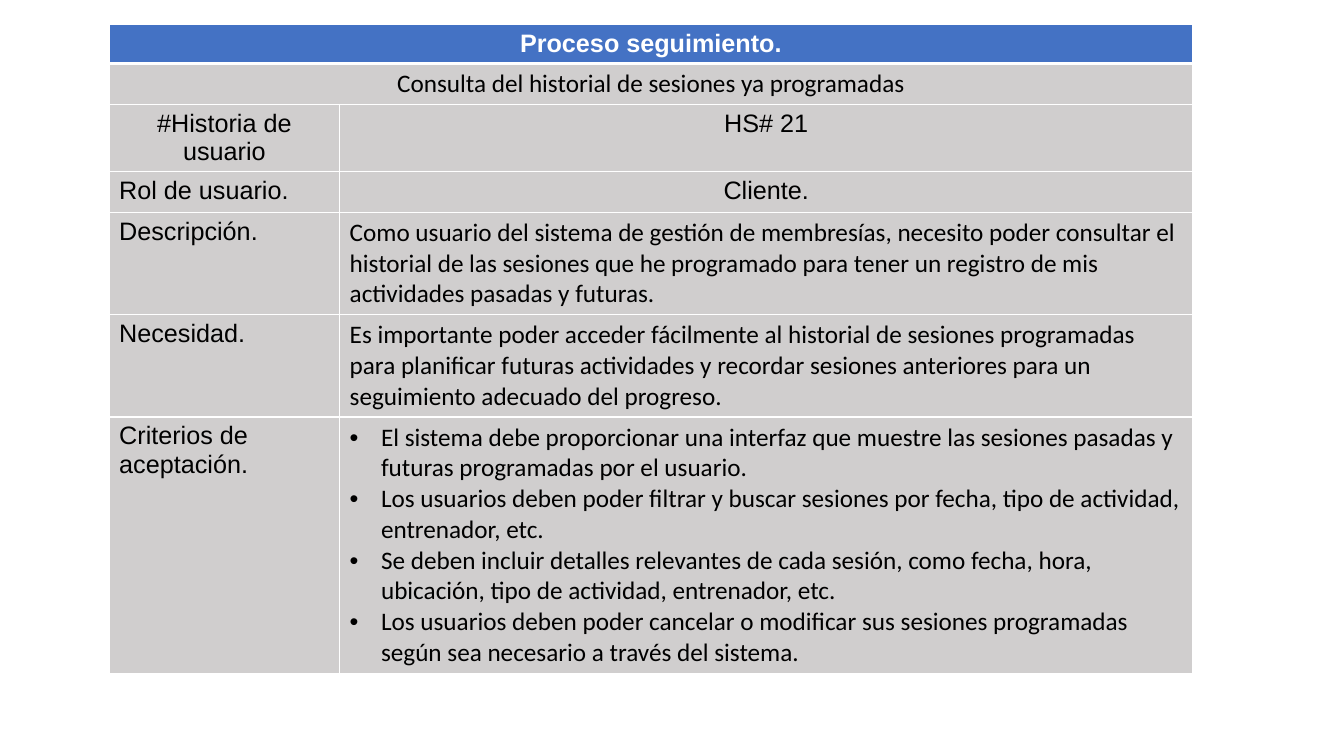
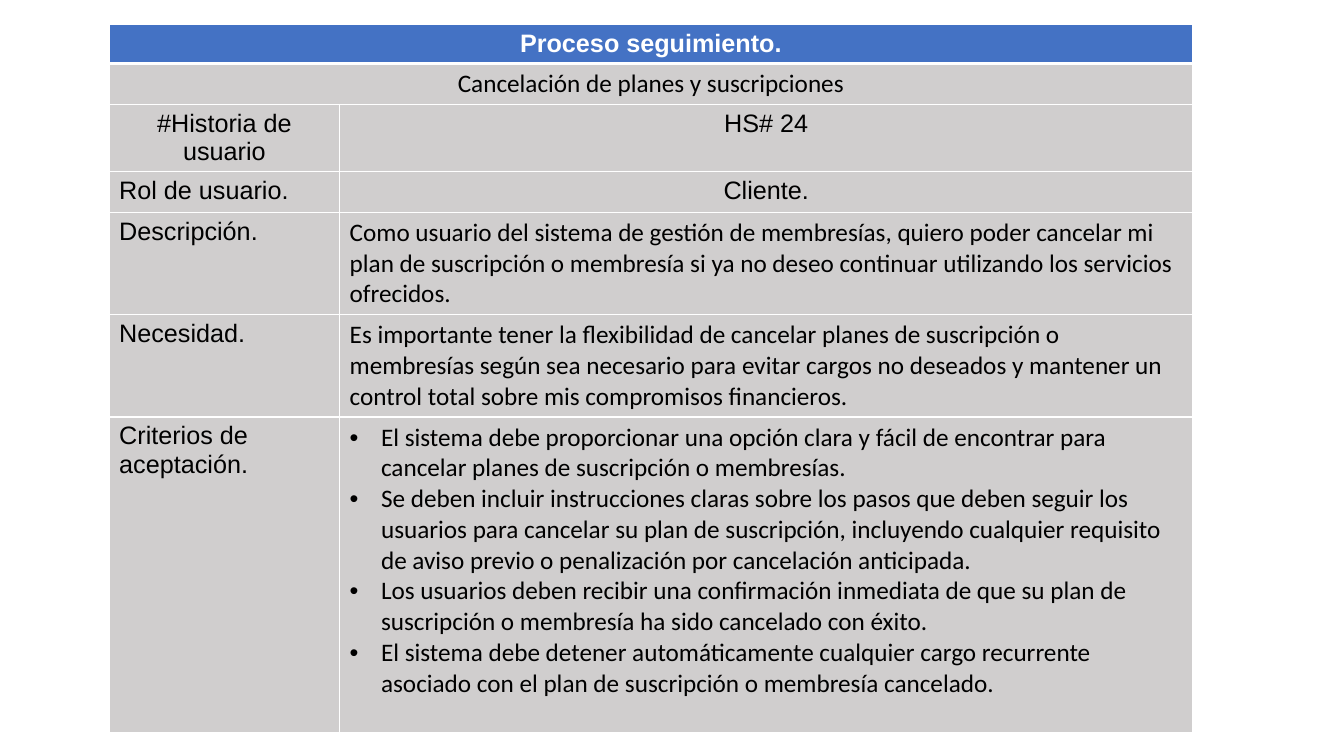
from pptx import Presentation
from pptx.dml.color import RGBColor
from pptx.enum.text import PP_ALIGN
from pptx.oxml.ns import qn
from pptx.util import Cm, Pt
from lxml import etree

CENTER, LEFT = PP_ALIGN.CENTER, PP_ALIGN.LEFT
WHITE = RGBColor(0xFF, 0xFF, 0xFF)
BLACK = RGBColor(0x00, 0x00, 0x00)
BLUE = RGBColor(0x44, 0x72, 0xC4)
GRAY = RGBColor(0xD0, 0xCE, 0xCE)
LABEL_FONT, TEXT_FONT = "Arial", "Calibri"
TEXT_SIZE = Pt(18)
THIN, THICK = Pt(1), Pt(3)
BLANK_LAYOUT = 6

TABLE_LEFT, TABLE_TOP = Cm(2.75), Cm(0.62)
COLUMN_WIDTHS = [Cm(5.81), Cm(21.5)]
ROW_HEIGHTS = [Cm(0.98), Cm(1.03), Cm(1.7), Cm(1.02), Cm(2.58), Cm(2.58)]
BULLET_INDENT = Cm(0.79)

PROCESS = "Proceso seguimiento."
ROLE = "Cliente."
STORIES = [
    {
        "title": "Consulta del historial de sesiones ya programadas",
        "number": "HS# 21",
        "description": "Como usuario del sistema de gestión de membresías, necesito poder consultar el "
                       "historial de las sesiones que he programado para tener un registro de mis "
                       "actividades pasadas y futuras.",
        "need": "Es importante poder acceder fácilmente al historial de sesiones programadas para "
                "planificar futuras actividades y recordar sesiones anteriores para un seguimiento "
                "adecuado del progreso.",
        "criteria": [
            "El sistema debe proporcionar una interfaz que muestre las sesiones pasadas y futuras "
            "programadas por el usuario.",
            "Los usuarios deben poder filtrar y buscar sesiones por fecha, tipo de actividad, "
            "entrenador, etc.",
            "Se deben incluir detalles relevantes de cada sesión, como fecha, hora, ubicación, tipo "
            "de actividad, entrenador, etc.",
            "Los usuarios deben poder cancelar o modificar sus sesiones programadas según sea "
            "necesario a través del sistema.",
        ],
        "criteria_height": Cm(6.45),
    },
    {
        "title": "Cancelación de planes y suscripciones",
        "number": "HS# 24",
        "description": "Como usuario del sistema de gestión de membresías, quiero poder cancelar mi "
                       "plan de suscripción o membresía si ya no deseo continuar utilizando los "
                       "servicios ofrecidos.",
        "need": "Es importante tener la flexibilidad de cancelar planes de suscripción o membresías "
                "según sea necesario para evitar cargos no deseados y mantener un control total "
                "sobre mis compromisos financieros.",
        "criteria": [
            "El sistema debe proporcionar una opción clara y fácil de encontrar para cancelar planes "
            "de suscripción o membresías.",
            "Se deben incluir instrucciones claras sobre los pasos que deben seguir los usuarios "
            "para cancelar su plan de suscripción, incluyendo cualquier requisito de aviso previo o "
            "penalización por cancelación anticipada.",
            "Los usuarios deben recibir una confirmación inmediata de que su plan de suscripción o "
            "membresía ha sido cancelado con éxito.",
            "El sistema debe detener automáticamente cualquier cargo recurrente asociado con el plan "
            "de suscripción o membresía cancelado.",
        ],
        "criteria_height": Cm(7.95),
    },
]


class StoryDeck:
    """Holds the deck, the current page and the look of its tables."""

    def __init__(self):
        self.deck = Presentation()
        self.deck.slide_width, self.deck.slide_height = Cm(33.87), Cm(19.05)
        self.page = None

    def add_page(self):
        self.page = self.deck.slides.add_slide(self.deck.slide_layouts[BLANK_LAYOUT])

    def add_grid(self, heights):
        """Add an empty table with white rules, a blue first row and gray rows below."""
        table = self.page.shapes.add_table(
            len(heights), len(COLUMN_WIDTHS), TABLE_LEFT, TABLE_TOP,
            sum(COLUMN_WIDTHS), sum(heights)).table
        for column, width in zip(table.columns, COLUMN_WIDTHS):
            column.width = width
        for index, (row, height) in enumerate(zip(table.rows, heights)):
            row.height = height
            for cell in row.cells:
                self.draw_borders(cell, top=THICK if index == 1 else THIN,
                                  bottom=THICK if index == 0 else THIN)
                cell.fill.solid()
                cell.fill.fore_color.rgb = BLUE if index == 0 else GRAY
        return table

    def draw_borders(self, cell, top, bottom):
        properties = cell._tc.get_or_add_tcPr()
        for tag, width in (("a:lnL", THIN), ("a:lnR", THIN), ("a:lnT", top), ("a:lnB", bottom)):
            line = etree.SubElement(properties, qn(tag), w=str(width))
            fill = etree.SubElement(line, qn("a:solidFill"))
            etree.SubElement(fill, qn("a:srgbClr"), val=str(WHITE))

    def fill_cell(self, cell, text, font=TEXT_FONT, align=LEFT, color=BLACK, bold=False):
        cell.text_frame.text = text
        for para in cell.text_frame.paragraphs:
            para.alignment = align
            for span in para.runs:
                span.font.name, span.font.size = font, TEXT_SIZE
                span.font.color.rgb, span.font.bold = color, bold

    def fill_bullets(self, cell, items):
        self.fill_cell(cell, "\n".join(items))
        for para in cell.text_frame.paragraphs:
            properties = para._p.get_or_add_pPr()
            properties.set("marL", str(BULLET_INDENT))
            properties.set("indent", str(-BULLET_INDENT))
            etree.SubElement(properties, qn("a:buFont"), typeface=LABEL_FONT)
            etree.SubElement(properties, qn("a:buChar"), char="•")

    def add_story(self, story):
        self.add_page()
        table = self.add_grid(ROW_HEIGHTS + [story["criteria_height"]])
        for row in (0, 1):
            table.cell(row, 0).merge(table.cell(row, 1))
        self.fill_cell(table.cell(0, 0), PROCESS, LABEL_FONT, CENTER, WHITE, bold=True)
        self.fill_cell(table.cell(1, 0), story["title"], align=CENTER)

        fields = [
            ("#Historia de usuario", CENTER, story["number"], LABEL_FONT, CENTER),
            ("Rol de usuario.", LEFT, ROLE, LABEL_FONT, CENTER),
            ("Descripción.", LEFT, story["description"], TEXT_FONT, LEFT),
            ("Necesidad.", LEFT, story["need"], TEXT_FONT, LEFT),
        ]
        for row, (label, label_align, value, font, align) in enumerate(fields, start=2):
            self.fill_cell(table.cell(row, 0), label, LABEL_FONT, label_align)
            self.fill_cell(table.cell(row, 1), value, font, align)

        criteria_row = len(ROW_HEIGHTS)
        self.fill_cell(table.cell(criteria_row, 0), "Criterios de aceptación.", LABEL_FONT)
        self.fill_bullets(table.cell(criteria_row, 1), story["criteria"])


def main():
    stories = StoryDeck()
    for story in STORIES:
        stories.add_story(story)
    stories.deck.save("out.pptx")


if __name__ == "__main__":
    main()
